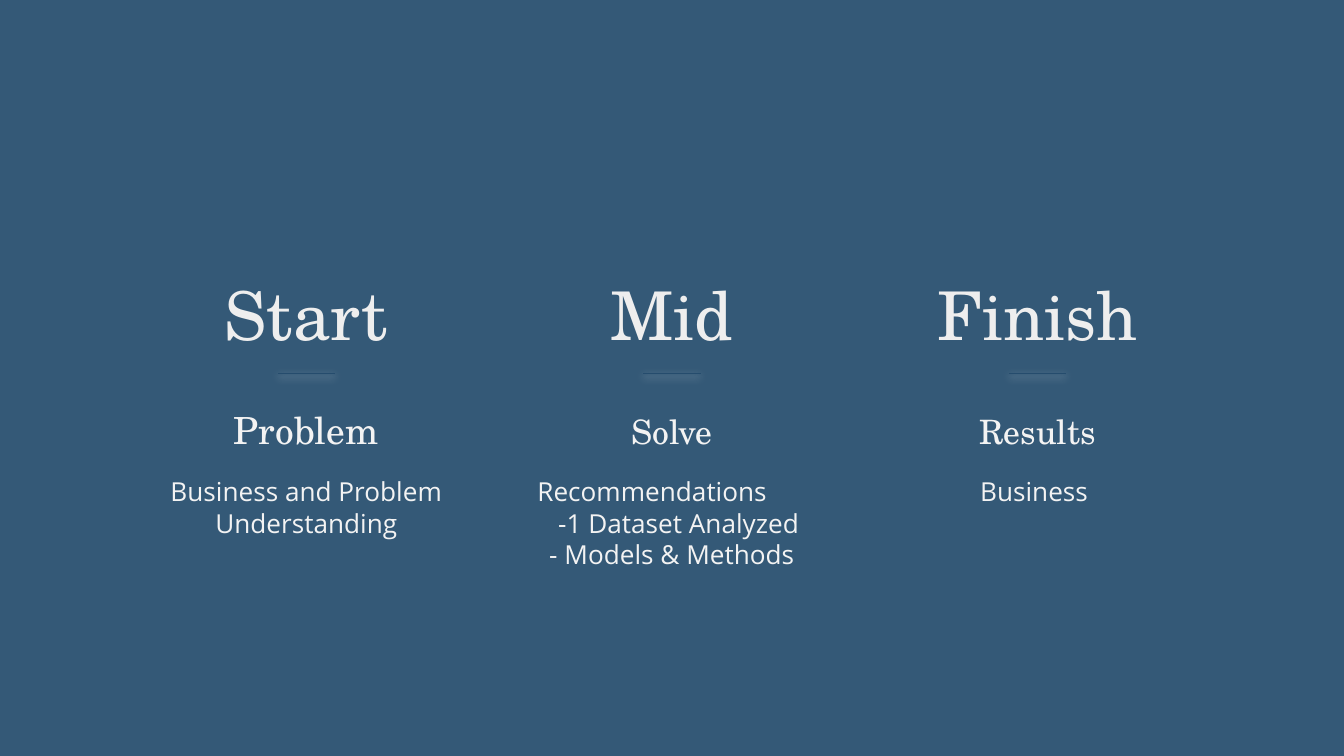
"""Build a slide with three project stages: start, mid and finish."""
from dataclasses import dataclass

from lxml import etree
from pptx import Presentation
from pptx.dml.color import RGBColor
from pptx.enum.shapes import MSO_CONNECTOR
from pptx.enum.text import MSO_ANCHOR, MSO_AUTO_SIZE, PP_ALIGN
from pptx.oxml.ns import qn
from pptx.util import Inches, Pt

BACKGROUND = RGBColor(0x34, 0x59, 0x77)
RULE_BLUE = RGBColor(0x25, 0x4C, 0x6D)
HEADING_GREY = RGBColor(0xEE, 0xEE, 0xEE)
TEXT_GREY = RGBColor(0xF3, 0xF3, 0xF3)
SERIF = "TeX Gyre Schola"
SANS = "Open Sans"
TOP, BOTTOM = MSO_ANCHOR.TOP, MSO_ANCHOR.BOTTOM
LEFT, CENTER = PP_ALIGN.LEFT, PP_ALIGN.CENTER
STRAIGHT = MSO_CONNECTOR.STRAIGHT
NO_AUTOFIT = MSO_AUTO_SIZE.NONE

SLIDE_WIDTH = Inches(10)
SLIDE_HEIGHT = SLIDE_WIDTH * 9 // 16
FIRST_LEFT = 1.15
COLUMN_STEP = 2.72
COLUMN_WIDTH = 2.26
RULE_TOP = 2.78
RULE_WIDTH = 0.43


@dataclass(frozen=True)
class Style:
    top: float
    height: float
    font: str
    color: RGBColor
    anchor: MSO_ANCHOR


@dataclass(frozen=True)
class Line:
    text: str
    align: PP_ALIGN = CENTER
    indent: float = 0


@dataclass(frozen=True)
class Stage:
    heading: str
    topic: str
    topic_size: int
    details: tuple[Line, ...]


HEADING = Style(1.94, 0.79, SERIF, HEADING_GREY, BOTTOM)
TOPIC = Style(2.86, 0.6, SERIF, TEXT_GREY, BOTTOM)
DETAIL = Style(3.44, 1.35, SANS, TEXT_GREY, TOP)

STAGES = (
    Stage("Start", "Problem", 20, (Line("Business and Problem Understanding"),)),
    Stage("Mid", "Solve", 18, (
        Line("Recommendations", LEFT, 0.03),
        Line("-1 Dataset Analyzed", indent=0.1),
        Line("- Models & Methods"),
    )),
    Stage("Finish", "Results", 18, (Line("Business "),)),
)


def fill_box(box, left: float, style: Style, size: int, lines: tuple[Line, ...]) -> None:
    """Place a text box and write its formatted lines."""
    box.left, box.top = Inches(left), Inches(style.top)
    box.width, box.height = Inches(COLUMN_WIDTH), Inches(style.height)
    frame = box.text_frame
    frame.word_wrap = True
    frame.auto_size = NO_AUTOFIT
    frame.vertical_anchor = style.anchor
    frame.margin_left = frame.margin_right = Inches(0.1)
    frame.margin_top = frame.margin_bottom = Inches(0.1)
    frame.text = "\n".join(line.text for line in lines)
    for para, line in zip(frame.paragraphs, lines):
        para.alignment = line.align
        if line.indent:
            para._p.get_or_add_pPr().set("marL", str(Inches(line.indent)))
        for span in para.runs:
            span.font.name = style.font
            span.font.size = Pt(size)
            span.font.color.rgb = style.color


def add_rule(page, left: float) -> None:
    """Draw a short rule with a soft white shadow."""
    start = left + (COLUMN_WIDTH - RULE_WIDTH) / 2
    rule = page.shapes.add_connector(
        STRAIGHT, Inches(start), Inches(RULE_TOP), Inches(start + RULE_WIDTH), Inches(RULE_TOP)
    )
    rule.line.color.rgb = RULE_BLUE
    rule.line.width = Pt(0.75)
    effects = etree.SubElement(rule._element.spPr, qn("a:effectLst"))
    shadow = etree.SubElement(
        effects, qn("a:outerShdw"), blurRad=str(Pt(4.5)), dist=str(Pt(1.5)),
        dir="5400000", algn="bl", rotWithShape="0",
    )
    color = etree.SubElement(shadow, qn("a:srgbClr"), val="FFFFFF")
    etree.SubElement(color, qn("a:alpha"), val="50000")


def add_stage(page, stage: Stage, left: float, heading_box) -> None:
    """Draw one column of the slide."""
    fill_box(heading_box, left, HEADING, 36, (Line(stage.heading),))
    add_rule(page, left)
    for style, size, lines in (
        (TOPIC, stage.topic_size, (Line(stage.topic),)),
        (DETAIL, 14, stage.details),
    ):
        fill_box(page.shapes.add_textbox(0, 0, 0, 0), left, style, size, lines)


def main() -> None:
    """Build and save the deck."""
    deck = Presentation()
    deck.slide_width, deck.slide_height = SLIDE_WIDTH, SLIDE_HEIGHT
    page = deck.slides.add_slide(deck.slide_layouts[5])
    page.background.fill.solid()
    page.background.fill.fore_color.rgb = BACKGROUND
    for column, stage in enumerate(STAGES):
        heading_box = page.shapes.title if column == 0 else page.shapes.add_textbox(0, 0, 0, 0)
        add_stage(page, stage, FIRST_LEFT + column * COLUMN_STEP, heading_box)
    deck.save("out.pptx")


if __name__ == "__main__":
    main()
